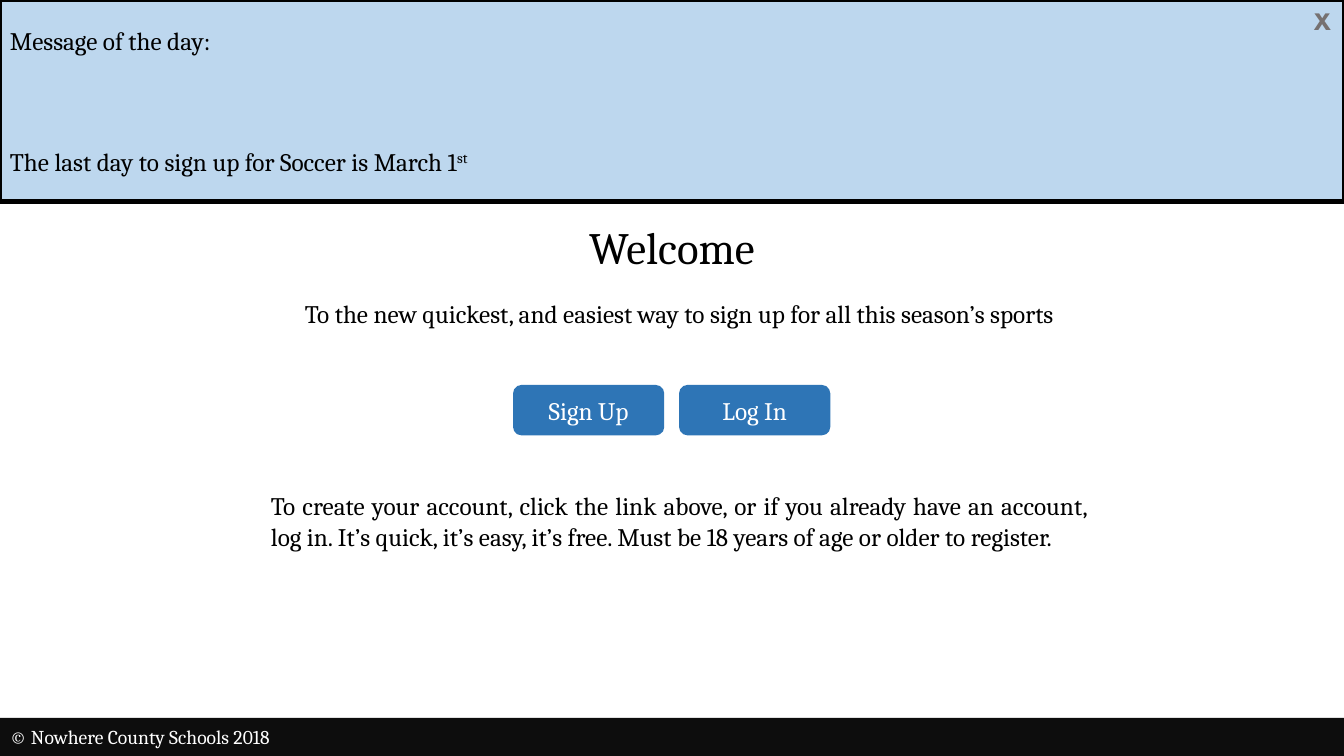
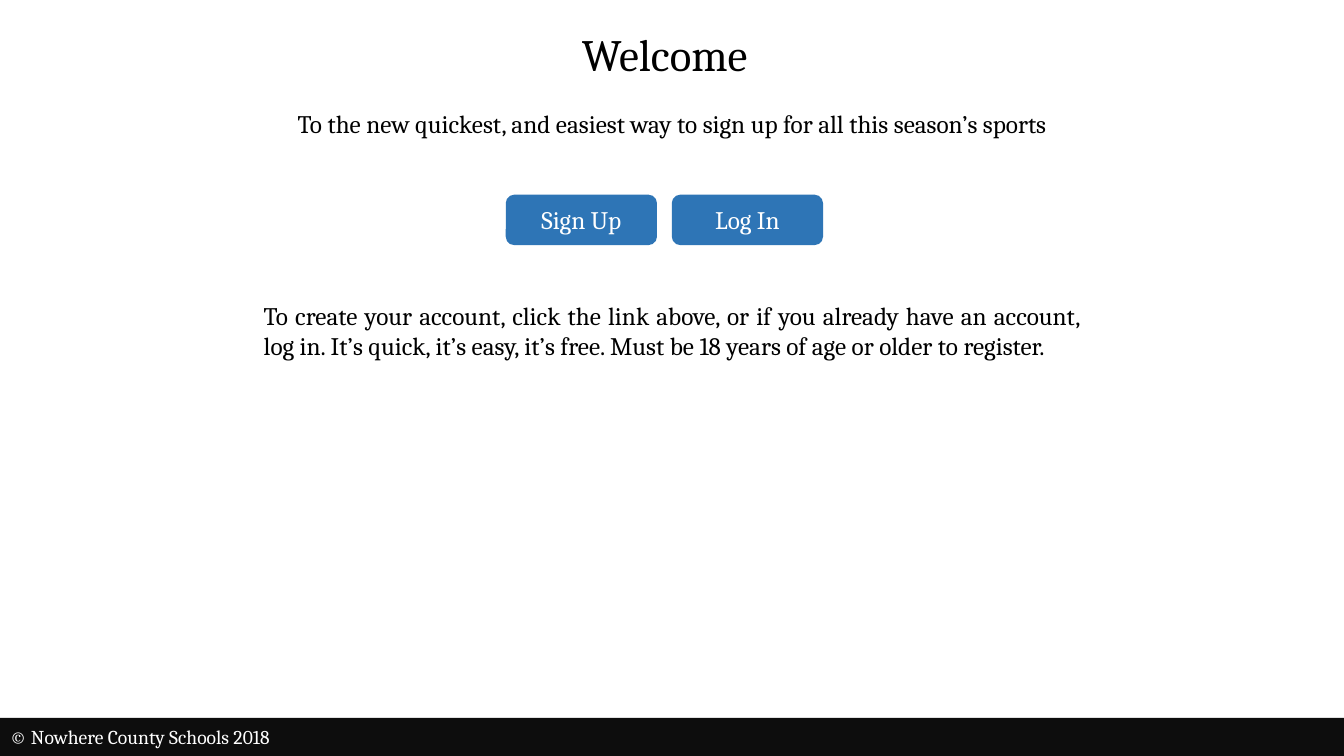
from pptx import Presentation
from pptx.dml.color import RGBColor
from pptx.enum.shapes import MSO_SHAPE
from pptx.enum.text import MSO_ANCHOR, MSO_AUTO_SIZE, PP_ALIGN
from pptx.util import Pt

RECTANGLE, ROUNDED = MSO_SHAPE.RECTANGLE, MSO_SHAPE.ROUNDED_RECTANGLE
TOP, MIDDLE = MSO_ANCHOR.TOP, MSO_ANCHOR.MIDDLE
LEFT, CENTER, JUSTIFY = PP_ALIGN.LEFT, PP_ALIGN.CENTER, PP_ALIGN.JUSTIFY
FIXED = MSO_AUTO_SIZE.NONE
WIDTH, HEIGHT = 960, 540
TITLE_ONLY = 5


def color(code):
    return RGBColor.from_string(code)


def write(paragraph, text, size=18, font="Cambria", ink="000000", bold=False,
          align=LEFT, before=0, raised=False):
    paragraph.alignment = align
    paragraph.space_before = Pt(before)
    run = paragraph.add_run()
    run.text = text
    run.font.size = Pt(size)
    run.font.name = font
    run.font.bold = bold
    run.font.color.rgb = color(ink)
    if raised:
        run._r.get_or_add_rPr().set("baseline", "30000")


class Deck:
    BLACK, WHITE, GRAY = "000000", "FFFFFF", "767171"
    SKY, BLUE, CHARCOAL = "BDD7EE", "2E75B6", "0D0D0D"

    def __init__(self):
        self.presentation = Presentation()
        self.presentation.slide_width = Pt(WIDTH)
        self.presentation.slide_height = Pt(HEIGHT)
        self.slide = None

    def new_slide(self):
        layout = self.presentation.slide_layouts[TITLE_ONLY]
        self.slide = self.presentation.slides.add_slide(layout)

    def title(self, text, left, top):
        heading = self.slide.shapes.title
        heading.left, heading.top = Pt(left), Pt(top)
        heading.width, heading.height = Pt(WIDTH), Pt(46)
        frame = heading.text_frame
        frame.auto_size = FIXED
        frame.vertical_anchor = TOP
        write(frame.paragraphs[0], text, size=32, align=CENTER)

    def text(self, text, left, top, width, height, **style):
        box = self.slide.shapes.add_textbox(Pt(left), Pt(top), Pt(width), Pt(height))
        box.text_frame.word_wrap = True
        write(box.text_frame.paragraphs[0], text, **style)

    def block(self, kind, left, top, width, height, fill, line=None):
        shape = self.slide.shapes.add_shape(kind, Pt(left), Pt(top), Pt(width), Pt(height))
        shape.shadow.inherit = False
        shape.fill.solid()
        shape.fill.fore_color.rgb = color(fill)
        if line:
            shape.line.color.rgb = color(line)
            shape.line.width = Pt(3)
        else:
            shape.line.fill.background()
        shape.text_frame.vertical_anchor = MIDDLE
        return shape.text_frame

    def button(self, label, left, top):
        face = self.block(ROUNDED, left, top, 108, 36, self.BLUE)
        write(face.paragraphs[0], label, ink=self.WHITE, align=CENTER)

    def message(self):
        banner = self.block(RECTANGLE, 0, 0, WIDTH, 144, self.SKY, self.BLACK)
        write(banner.paragraphs[0], "Message of the day:")
        notice = banner.add_paragraph()
        write(notice, "The last day to sign up for Soccer is March 1", before=65)
        write(notice, "st", before=65, raised=True)
        self.text("X", 931.5, 0, 23, 29, font="League Spartan", ink=self.GRAY, bold=True)

    def welcome(self, shift, title_top, intro_top):
        self.title("Welcome", shift, title_top)
        column = 186.5 + shift
        self.text("To the new quickest, and easiest way to sign up for all this season’s sports",
                  column, intro_top, 597.6, 29, align=CENTER)
        for index, label in enumerate(("Sign Up", "Log In")):
            self.button(label, 366.5 + shift + index * 118.6, intro_top + 65.5)
        self.text("To create your account, click the link above, or if you already have an "
                  "account, log in. It’s quick, it’s easy, it’s free. Must be 18 years of age "
                  "or older to register.",
                  column, intro_top + 137.5, 597.6, 73, align=JUSTIFY)

    def footer(self):
        self.block(RECTANGLE, 0, 512.8, WIDTH, 27.2, self.CHARCOAL)
        self.text("© Nowhere County Schools 2018", 0, 514.2, 474.5, 24.5,
                  size=14, ink=self.WHITE)


def main():
    deck = Deck()
    deck.new_slide()
    deck.welcome(shift=0, title_top=153.4, intro_top=209.5)
    deck.message()
    deck.footer()
    deck.new_slide()
    deck.welcome(shift=-5.2, title_top=15.8, intro_top=73.6)
    deck.footer()
    deck.presentation.save("out.pptx")


if __name__ == "__main__":
    main()
